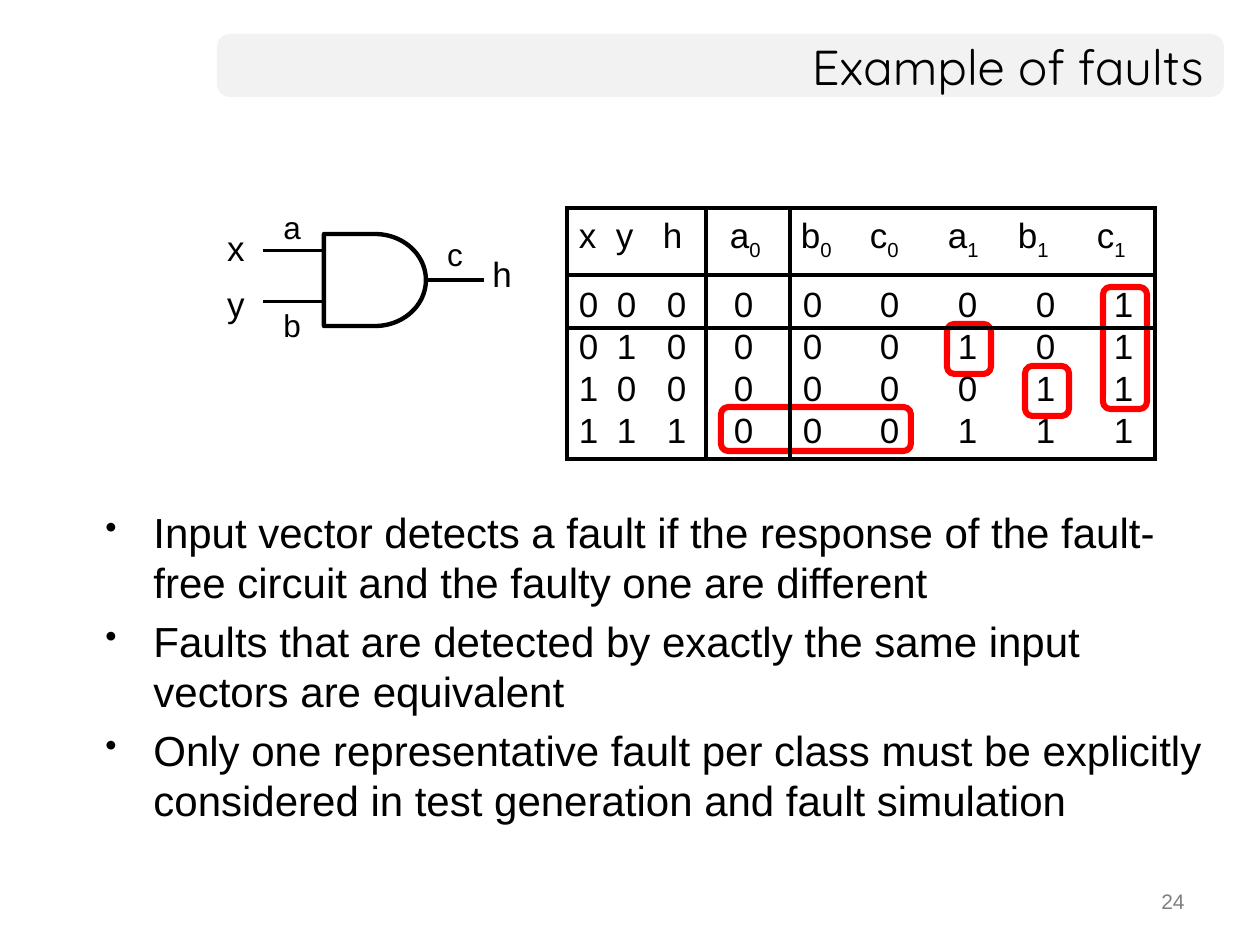
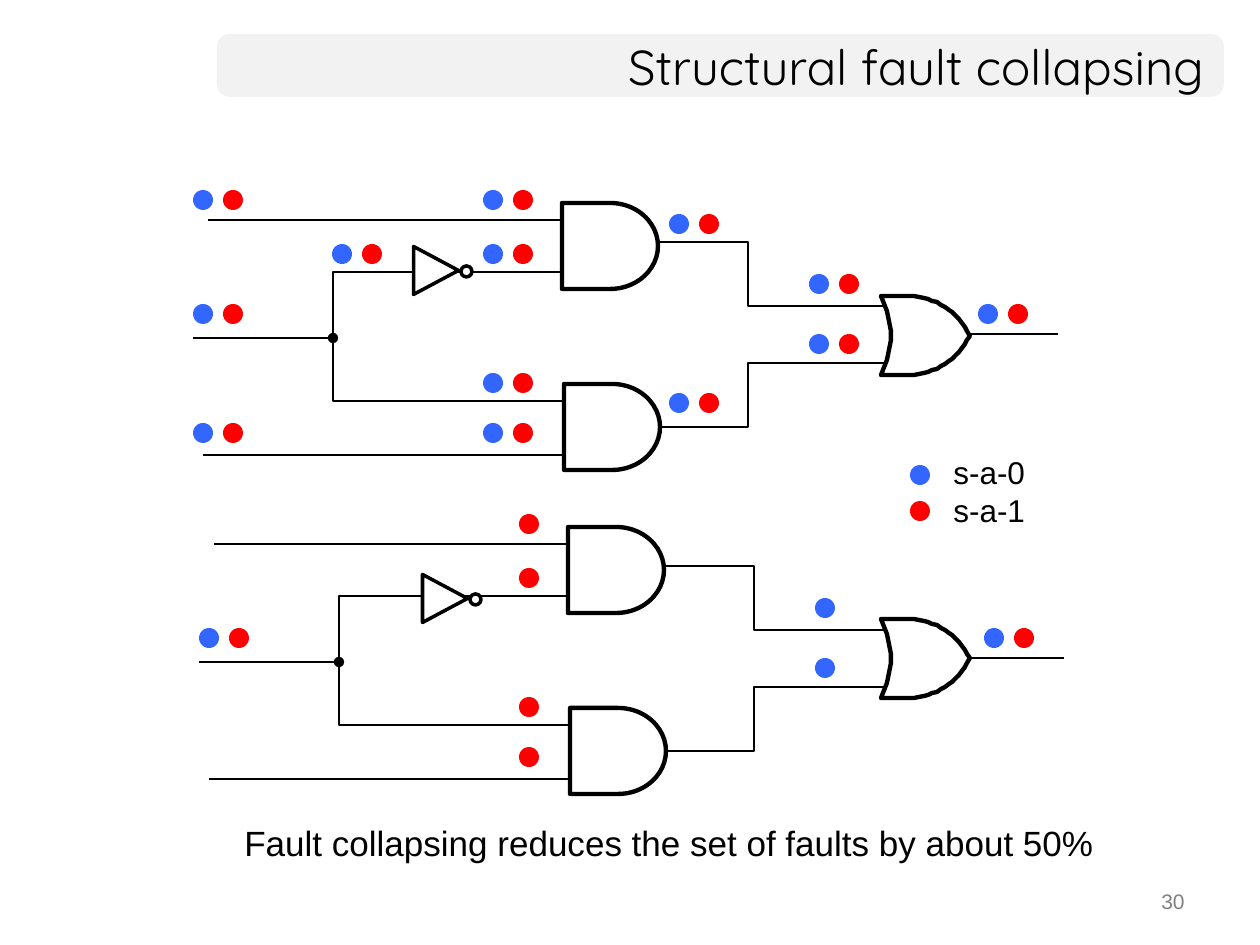
from dataclasses import dataclass

from lxml import etree
from pptx import Presentation
from pptx.dml.color import RGBColor
from pptx.enum.shapes import MSO_CONNECTOR as LINK, MSO_SHAPE as SHAPE
from pptx.enum.text import MSO_ANCHOR as ANCHOR, PP_ALIGN as ALIGN
from pptx.oxml.ns import qn
from pptx.util import Emu, Pt

SCALE = 914400 / 126  # EMU per px
NO_GRID_STYLE = "{2D5ABB26-0587-4C30-8999-92F81FD0307C}"


@dataclass(frozen=True)
class Theme:
    ink: str = "000000"
    paper: str = "FFFFFF"
    band: str = "F2F2F2"
    muted: str = "808080"
    stuck_0: str = "3366FF"
    stuck_1: str = "FF0000"
    title_font: str = "Quicksand"
    text_font: str = "Arial"
    title: int = 28
    body: int = 24
    text: int = 20
    label: int = 18
    footer: int = 12


THEME = Theme()

BULLETS = [
    "Input vector detects a fault if the response of the fault-free circuit "
    "and the faulty one are different",
    "Faults that are detected by exactly the same input vectors are equivalent",
    "Only one representative fault per class must be explicitly considered "
    "in test generation and fault simulation",
]

# Signal, subscript, column left, heading left, digits left, digits
TRUTH_COLUMNS = [
    ("x", "", 567, 579, 579, "0011"),
    ("y", "", 606, 616, 617, "0101"),
    ("h", "", 652, 663, 667, "0001"),
    ("a", "0", 706, 730, 734, "0000"),
    ("b", "0", 790, 801, 803, "0000"),
    ("c", "0", 864, 870, 880, "0000"),
    ("a", "1", 940, 948, 958, "0101"),
    ("b", "1", 1012, 1018, 1036, "0011"),
    ("c", "1", 1090, 1097, 1114, "1111"),
]
TRUTH_TOP, TRUTH_RIGHT = 208, 1155
TRUTH_ROWS = [(67, 9), (53, 11), (42, 0), (42, 0), (47, 0)]  # height, top margin

# Left, top, faults left after collapsing
FAULT_SITES = [
    (193, 190, ""), (483, 190, "1"), (483, 244, "1"), (332, 244, ""),
    (193, 304, "01"), (483, 373, "1"), (193, 423, ""), (483, 423, "1"),
    (669, 214, ""), (669, 393, ""), (809, 274, "0"), (809, 334, "0"),
    (978, 304, "01"),
]


def px(length):
    return Emu(round(length * SCALE))


def rgb(color):
    return RGBColor.from_string(color)


def style_font(font, size, color=THEME.ink, name=THEME.text_font):
    font.size, font.name = Pt(size), name
    font.color.rgb = rgb(color)


def paint(shape, fill=None, line=None, width=0):
    shape.shadow.inherit = False
    if fill:
        shape.fill.solid()
        shape.fill.fore_color.rgb = rgb(fill)
    else:
        shape.fill.background()
    if line:
        shape.line.color.rgb = rgb(line)
        shape.line.width = Pt(width)
    else:
        shape.line.fill.background()
    return shape


def add_preset(page, kind, left, top, width, height, fill, line=None, weight=0):
    shape = page.shapes.add_shape(kind, px(left), px(top), px(width), px(height))
    return paint(shape, fill, line, weight)


def add_text(page, lines, left, top, width, height, size, align=ALIGN.LEFT,
             anchor=ANCHOR.TOP, wrap=False, color=THEME.ink, name=THEME.text_font):
    box = page.shapes.add_textbox(px(left), px(top), px(width), px(height))
    frame = box.text_frame
    frame.word_wrap = wrap
    frame.vertical_anchor = anchor
    for index, line in enumerate(lines):
        para = frame.paragraphs[0] if index == 0 else frame.add_paragraph()
        para.add_run().text = line
        para.alignment = align
        style_font(para.font, size, color, name)
    return box


def add_label(page, text, left, top, size):
    add_text(page, [text], left, top, 44, 52, size, ALIGN.CENTER, ANCHOR.MIDDLE)


def add_bullets(page, lines, left, top, width, height):
    box = add_text(page, lines, left, top, width, height, THEME.body, wrap=True)
    for index, para in enumerate(box.text_frame.paragraphs):
        if index:
            para.space_before = Pt(4.8)
        props = para._p.get_or_add_pPr()
        props.set("marL", str(px(48)))
        props.set("indent", str(px(-48)))
        defaults = props.find(qn("a:defRPr"))
        for tag, key, value in (("a:buSzPct", "val", "80000"),
                                ("a:buChar", "char", "•")):
            bullet = etree.Element(qn(tag))
            bullet.set(key, value)
            defaults.addprevious(bullet)


def add_line(page, start, end, width, dot_at_start=False):
    line = page.shapes.add_connector(LINK.STRAIGHT, *map(px, start + end))
    line.line.color.rgb = rgb(THEME.ink)
    line.line.width = Pt(width)
    if dot_at_start:
        head = etree.SubElement(line.line._get_or_add_ln(), qn("a:headEnd"))
        head.set("type", "oval")
    etree.SubElement(line._element.spPr, qn("a:effectLst"))


def add_outline(page, points, width, fill=None):
    """Draw a closed outline when filled, an open wire otherwise."""
    builder = page.shapes.build_freeform(*points[0], scale=SCALE)
    builder.add_line_segments(points[1:], close=fill is not None)
    paint(builder.convert_to_shape(), fill, THEME.ink, width)


def add_and_gate(page, left, top, width, height):
    add_preset(page, SHAPE.FLOWCHART_DELAY, left, top, width, height,
               THEME.paper, THEME.ink, 2.5)


def add_inverter(page, left, top):
    add_preset(page, SHAPE.FLOWCHART_CONNECTOR, left + 49, top + 18, 11, 11,
               THEME.paper, THEME.ink, 2)
    triangle = add_preset(page, SHAPE.ISOSCELES_TRIANGLE, left, top, 48, 45,
                          THEME.paper, THEME.ink, 2)
    triangle.rotation = 90


def curve(*controls, steps=16):
    """Sample a cubic Bezier curve."""
    points = []
    for step in range(steps + 1):
        t = step / steps
        weights = ((1 - t) ** 3, 3 * t * (1 - t) ** 2, 3 * t * t * (1 - t), t ** 3)
        points.append(tuple(sum(w * c[axis] for w, c in zip(weights, controls))
                            for axis in (0, 1)))
    return points


def add_or_gate(page, left, top):
    height = 79
    upper = curve((28, 0), (55, 1), (76, 15), (89, height / 2))
    lower = [(x, height - y) for x, y in reversed(upper)]
    back = curve((0, height), (13, 53), (13, 26), (0, 0))
    add_outline(page, [(left + x, top + y) for x, y in upper + lower + back],
                2.5, THEME.paper)


def add_fault(page, kind, left, top):
    color = THEME.stuck_0 if kind == "0" else THEME.stuck_1
    add_preset(page, SHAPE.OVAL, left, top, 20, 20, color)


def add_border(cell, side, index):
    line = etree.Element(qn(f"a:ln{side}"), w=str(Pt(2.25)))
    fill = etree.SubElement(line, qn("a:solidFill"))
    etree.SubElement(fill, qn("a:srgbClr"), val=THEME.ink)
    cell._tc.get_or_add_tcPr().insert(index, line)


def fill_cell(cell, text, subscript, left, top):
    cell.fill.background()
    cell.margin_left, cell.margin_top = px(left), px(top)
    cell.margin_right = cell.margin_bottom = 0
    para = cell.text_frame.paragraphs[0]
    para.add_run().text = text
    if subscript:
        span = para.add_run()
        span.text = subscript
        span._r.get_or_add_rPr().set("baseline", "-25000")
    style_font(para.font, THEME.text)


def add_truth_table(page):
    lefts = [column[2] for column in TRUTH_COLUMNS] + [TRUTH_RIGHT]
    last_row, last_column = len(TRUTH_ROWS) - 1, len(TRUTH_COLUMNS) - 1
    height = sum(row[0] for row in TRUTH_ROWS)
    table = page.shapes.add_table(
        last_row + 1, last_column + 1, px(lefts[0]), px(TRUTH_TOP),
        px(TRUTH_RIGHT - lefts[0]), px(height)).table
    table.first_row = table.horz_banding = False
    table._tbl.tblPr.find(qn("a:tableStyleId")).text = NO_GRID_STYLE
    for r, (row_height, _) in enumerate(TRUTH_ROWS):
        table.rows[r].height = px(row_height)
    for c, (signal, subscript, left, heading_x, digit_x, digits) in enumerate(TRUTH_COLUMNS):
        table.columns[c].width = px(lefts[c + 1] - left)
        for r, (_, top) in enumerate(TRUTH_ROWS):
            cell = table.cell(r, c)
            if r == 0:
                fill_cell(cell, signal, subscript, heading_x - left, top)
            else:
                fill_cell(cell, digits[r - 1], "", digit_x - left, top)
            edges = {"L": c in (0, 3), "R": c in (2, last_column),
                     "T": r in (0, 1), "B": r in (0, last_row)}
            drawn = [side for side, wanted in edges.items() if wanted]
            for index, side in enumerate(drawn):
                add_border(cell, side, index)


def add_page(deck, title, number):
    page = deck.slides.add_slide(deck.slide_layouts[6])
    band = add_preset(page, SHAPE.ROUNDED_RECTANGLE, 217, 34, 1007, 63, THEME.band)
    band.adjustments[0] = 0.21
    add_text(page, [str(number)], 903, 882, 294, 44, THEME.footer, ALIGN.RIGHT,
             wrap=True, color=THEME.muted)
    add_text(page, [title], 217, 34, 999, 63, THEME.title, ALIGN.RIGHT,
             ANCHOR.MIDDLE, wrap=True, name=THEME.title_font)
    return page


def add_circuit(page, dx, dy, inverter, or_gate, collapsed):
    def move(*points):
        return [(x + dx, y + dy) for x, y in points]

    for wire in (((567, 272), (333, 272), (333, 401), (591, 401)),
                 ((640, 427), (748, 427), (748, 363), (898, 363)),
                 ((640, 242), (748, 242), (748, 306), (898, 306))):
        add_outline(page, move(*wire), 1.5)
    for start, end in (((1058, 334), (937, 334)), ((576, 455), (203, 455)),
                       ((581, 220), (208, 220))):
        add_line(page, *move(start, end), 1.5)
    add_line(page, *move((333, 338), (193, 338)), 1.5, dot_at_start=True)
    for left, top in move((562, 203), (564, 384)):
        add_and_gate(page, left, top, 96, 86)
    add_inverter(page, *inverter)
    add_or_gate(page, *or_gate)
    for x, y, remaining in FAULT_SITES:
        for kind in remaining if collapsed else "01":
            add_fault(page, kind, x + dx + 30 * int(kind), y + dy)


def build_fault_example(deck):
    page = add_page(deck, "Example of faults", 24)
    for detected in ((947, 324, 44, 50), (1025, 366, 44, 50),
                     (1103, 287, 44, 122), (721, 407, 190, 44)):
        add_preset(page, SHAPE.ROUNDED_RECTANGLE, *detected,
                   THEME.paper, THEME.stuck_1, 3.5)
    add_bullets(page, BULLETS, 93, 500, 1134, 334)
    for left, y in ((407, 280), (263, 302), (263, 251)):
        add_line(page, (left + 77, y), (left, y), 1.75)
    add_and_gate(page, 324, 234, 102, 92)
    for text, left, top in (("a", 270, 201), ("b", 270, 299), ("c", 433, 228)):
        add_label(page, text, left, top, THEME.label)
    for text, left, top in (("x", 214, 222), ("y", 214, 278), ("h", 480, 248)):
        add_label(page, text, left, top, THEME.text)
    add_truth_table(page)


def build_fault_collapsing(deck):
    page = add_page(deck, "Structural fault collapsing", 30)
    add_circuit(page, 0, 0, (412, 248), (881, 296), collapsed=False)
    add_circuit(page, 6, 324, (421, 576), (881, 619), collapsed=True)
    add_fault(page, "0", 910, 465)
    add_fault(page, "1", 910, 501)
    add_text(page, ["s-a-0", "s-a-1"], 941, 447, 98, 89, THEME.label)
    add_text(page, ["Fault collapsing reduces the set of faults by about 50%"],
             232, 815, 882, 55, THEME.text)


def main():
    deck = Presentation()
    deck.slide_width, deck.slide_height = px(1260), px(945)
    build_fault_example(deck)
    build_fault_collapsing(deck)
    deck.save("out.pptx")


if __name__ == "__main__":
    main()
